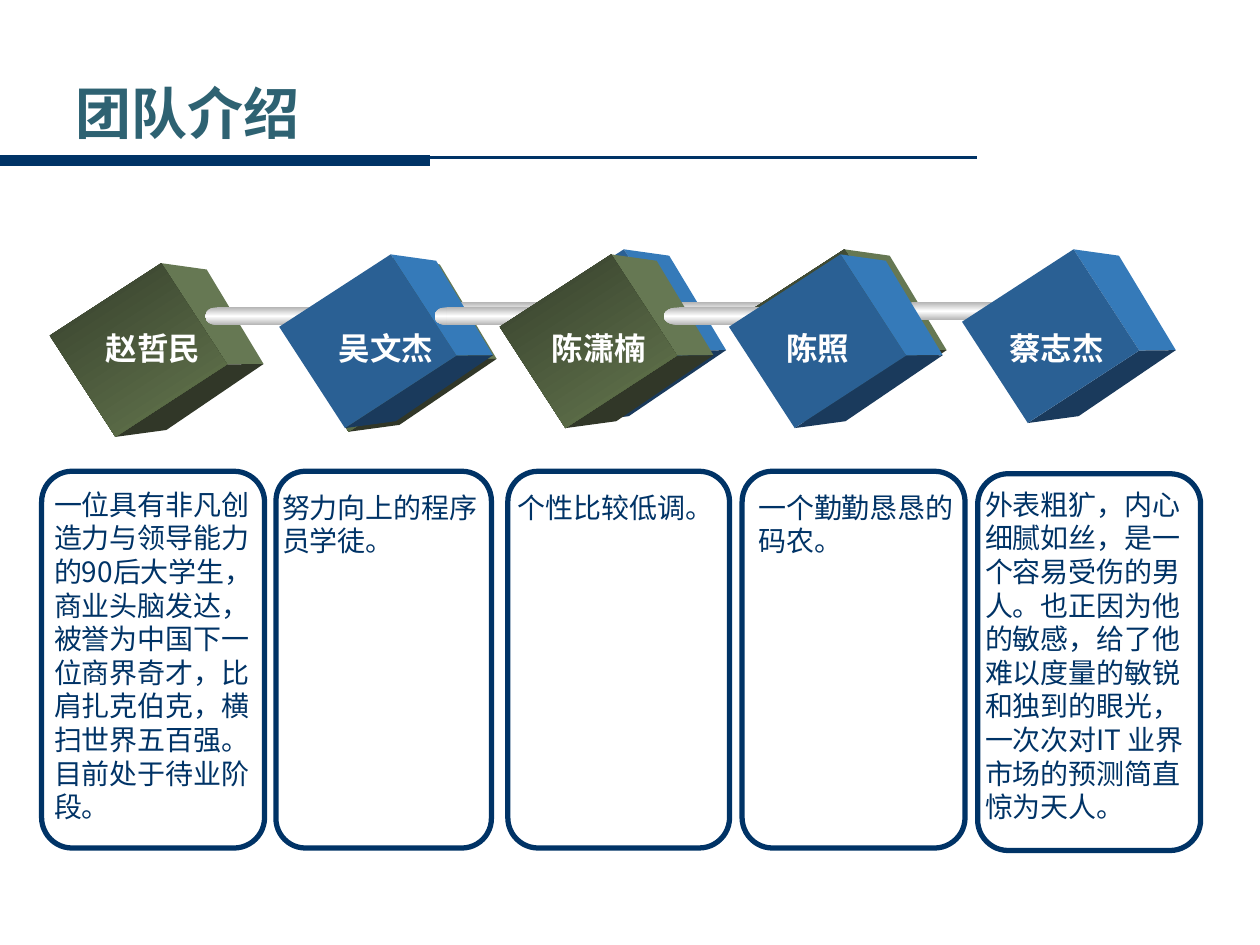
"""Build the team introduction slide: a chain of cubes above five profile cards."""
from copy import deepcopy
from math import cos, radians, sin

from lxml import etree
from pptx import Presentation
from pptx.dml.color import RGBColor
from pptx.enum.shapes import MSO_CONNECTOR, MSO_SHAPE
from pptx.enum.text import MSO_ANCHOR
from pptx.oxml.ns import qn
from pptx.util import Pt

RECT, ELLIPSE, CARD = MSO_SHAPE.RECTANGLE, MSO_SHAPE.OVAL, MSO_SHAPE.ROUNDED_RECTANGLE
STRAIGHT = MSO_CONNECTOR.STRAIGHT
TOP, MIDDLE = MSO_ANCHOR.TOP, MSO_ANCHOR.MIDDLE
CJK = "Noto Sans CJK SC"
COLORS = {"navy": "003366", "teal": "2E6272", "white": "FFFFFF", "silver": "B6B6B6"}
CUBES = {
    "green": {"front": ["343D2B", "66794F"], "side": "667853", "base": "313728"},
    "blue": {"front": ["2A6094"], "side": "357AB9", "base": "1A3A5C"},
}
ROD_FILL = [COLORS["silver"], COLORS["white"], COLORS["silver"]]
CUBE_W, CUBE_H, CUBE_TURN = 69, 76, 57
ROD_STEP = 131
CHAIN = [(44.6, 162, "green"), (175.7, 157, "blue"), (301.7, 157, "green"), (432.7, 157, "blue")]
ROD_SCALES = [1, 1, 1.3]
CARDS = [
    (23.8, 269.3, 127.4),
    (157.7, 269.3, 123.1),
    (290.2, 269.3, 126.7),
    (424.1, 269.3, 127.4),
    (558.7, 270.7, 127.4),
]
MEMBERS = [
    ("赵哲民", 53.3, 23.8, 275,
     "一位具有非凡创造力与领导能力的90后大学生，商业头脑发达，被誉为中国下一位商界奇才，"
     "比肩扎克伯克，横扫世界五百强。目前处于待业阶段。"),
    ("吴文杰", 186.5, 154.1, 276.5, "努力向上的程序员学徒。"),
    ("陈潇楠", 308.2, 288.7, 276.5, "个性比较低调。"),
    ("陈照", 442.1, 426.2, 276.5, "一个勤勤恳恳的码农。"),
    ("蔡志杰", 569.5, 555.8, 275,
     "外表粗犷，内心细腻如丝，是一个容易受伤的男人。也正因为他的敏感，给了他难以度量的敏锐"
     "和独到的眼光，一次次对IT 业界市场的预测简直惊为天人。"),
]


def paint(shape, fills=(), angle=0, line=None, line_width=1):
    """Fill a shape with no colour, one colour or evenly spaced gradient stops."""
    shape.shadow.inherit = False
    if len(fills) > 1:
        shape.fill.gradient()
        shape.fill.gradient_angle = angle
        stop_list = shape._element.spPr.find(".//" + qn("a:gsLst"))
        for _ in range(len(fills) - len(stop_list)):
            stop_list.append(deepcopy(stop_list[0]))
        for index, (stop, color) in enumerate(zip(shape.fill.gradient_stops, fills)):
            stop.position = index / (len(fills) - 1)
            stop.color.rgb = RGBColor.from_string(color)
    elif fills:
        shape.fill.solid()
        shape.fill.fore_color.rgb = RGBColor.from_string(fills[0])
    else:
        shape.fill.background()
    if line:
        shape.line.color.rgb = RGBColor.from_string(line)
        shape.line.width = Pt(line_width)
    else:
        shape.line.fill.background()


def add_preset(slide, kind, left, top, width, height, **look):
    """Add a painted preset shape."""
    preset = slide.shapes.add_shape(kind, Pt(left), Pt(top), Pt(width), Pt(height))
    paint(preset, **look)
    return preset


def add_face(slide, points, color):
    """Add a flat polygon through the given points."""
    corners = [(Pt(x), Pt(y)) for x, y in points]
    builder = slide.shapes.build_freeform(*corners[0])
    builder.add_line_segments(corners[1:], close=True)
    paint(builder.convert_to_shape(), [color])


def add_cube(slide, left, top, tone):
    """Add a turned square front with its right side and base."""
    center_x, center_y = left + CUBE_W / 2, top + CUBE_H / 2
    turn = radians(CUBE_TURN)

    def corner(across, down):
        """Return a corner of the turned front."""
        x, y = across * CUBE_W / 2, down * CUBE_H / 2
        return (center_x + x * cos(turn) - y * sin(turn),
                center_y + x * sin(turn) + y * cos(turn))

    peak, right, foot = corner(-1, -1), corner(1, -1), corner(1, 1)
    back_peak, back_right, back_foot = [
        (center_x + x, center_y + y) for x, y in [(39, -46), (71.5, 8), (16, 45.7)]]
    colors = CUBES[tone]
    add_face(slide, [peak, back_peak, back_right, right], colors["side"])
    add_face(slide, [right, back_right, back_foot, foot], colors["base"])
    front = add_preset(slide, RECT, left, top, CUBE_W, CUBE_H, fills=colors["front"])
    front.rotation = CUBE_TURN


def add_rod(slide, left, top, scale):
    """Add a metal rod with rounded ends and a small hole."""
    parts = [
        (ELLIPSE, 0, 0, 12.2, 10, None),
        (RECT, 6.6, 0, 59, 10, None),
        (ELLIPSE, 60.5, 0, 10.8, 9.4, COLORS["white"]),
        (ELLIPSE, 66.2, 3.2, 3, 3, None),
    ]
    for kind, x, y, width, height, line in parts:
        add_preset(slide, kind, left + x * scale, top + y, width * scale, height,
                   fills=ROD_FILL, angle=270, line=line)


def add_chain(slide, shift_x=0, shift_y=0):
    """Add four cubes joined by three rods."""
    for index, (left, top, tone) in enumerate(CHAIN):
        add_cube(slide, left + shift_x, top + shift_y, tone)
        if index < len(ROD_SCALES):
            add_rod(slide, 117.4 + index * ROD_STEP + shift_x, 175.7 + shift_y, ROD_SCALES[index])


def add_rule(slide, start, end, y, width):
    """Add a horizontal navy line."""
    rule = slide.shapes.add_connector(STRAIGHT, Pt(start), Pt(y), Pt(end), Pt(y))
    rule.line.color.rgb = RGBColor.from_string(COLORS["navy"])
    rule.line.width = Pt(width)
    etree.SubElement(rule._element.spPr, qn("a:effectLst"))


def add_text(slide, text, left, top, width, height, *, size, color,
             font=CJK, bold=False, wrap=True, anchor=TOP):
    """Add a text box holding one formatted paragraph."""
    box = slide.shapes.add_textbox(Pt(left), Pt(top), Pt(width), Pt(height))
    frame = box.text_frame
    frame.word_wrap, frame.vertical_anchor = wrap, anchor
    paragraph = frame.paragraphs[0]
    paragraph.line_spacing = Pt(size * 1.2)
    run = paragraph.add_run()
    run.text = text
    run.font.name, run.font.size, run.font.bold = font, Pt(size), bold
    run.font.color.rgb = RGBColor.from_string(COLORS[color])
    etree.SubElement(run.font._element, qn("a:ea"), typeface=CJK)


def add_card(slide, left, top, width):
    """Add an outlined profile card."""
    card = add_preset(slide, CARD, left, top, width, 215.3, line=COLORS["navy"], line_width=3)
    card.adjustments[0] = 0.137


def main():
    """Build and save the slide."""
    deck = Presentation()
    deck.slide_width, deck.slide_height = Pt(720), Pt(540)
    slide = deck.slides.add_slide(deck.slide_layouts[6])
    add_rule(slide, 558, 0, 90, 1.5)
    add_rule(slide, 0, 246, 91.7, 6)
    add_chain(slide, 133.2, -2.9)
    add_text(slide, "团队介绍", 36, 41.8, 606, 44.6, size=32, color="teal", bold=True, anchor=MIDDLE)
    for card in CARDS:
        add_card(slide, *card)
    add_chain(slide)
    for name, name_left, bio_left, bio_top, bio in MEMBERS:
        add_text(slide, name, name_left, 184.3, 18 * len(name) + 14.4, 28.8, size=18,
                 color="white", font="Arial", bold=True, wrap=False)
        lines = -(-len(bio) // 7)
        add_text(slide, bio, bio_left, bio_top, 130.3, lines * 19.2 + 7.2, size=16, color="navy")
    deck.save("out.pptx")


if __name__ == "__main__":
    main()
